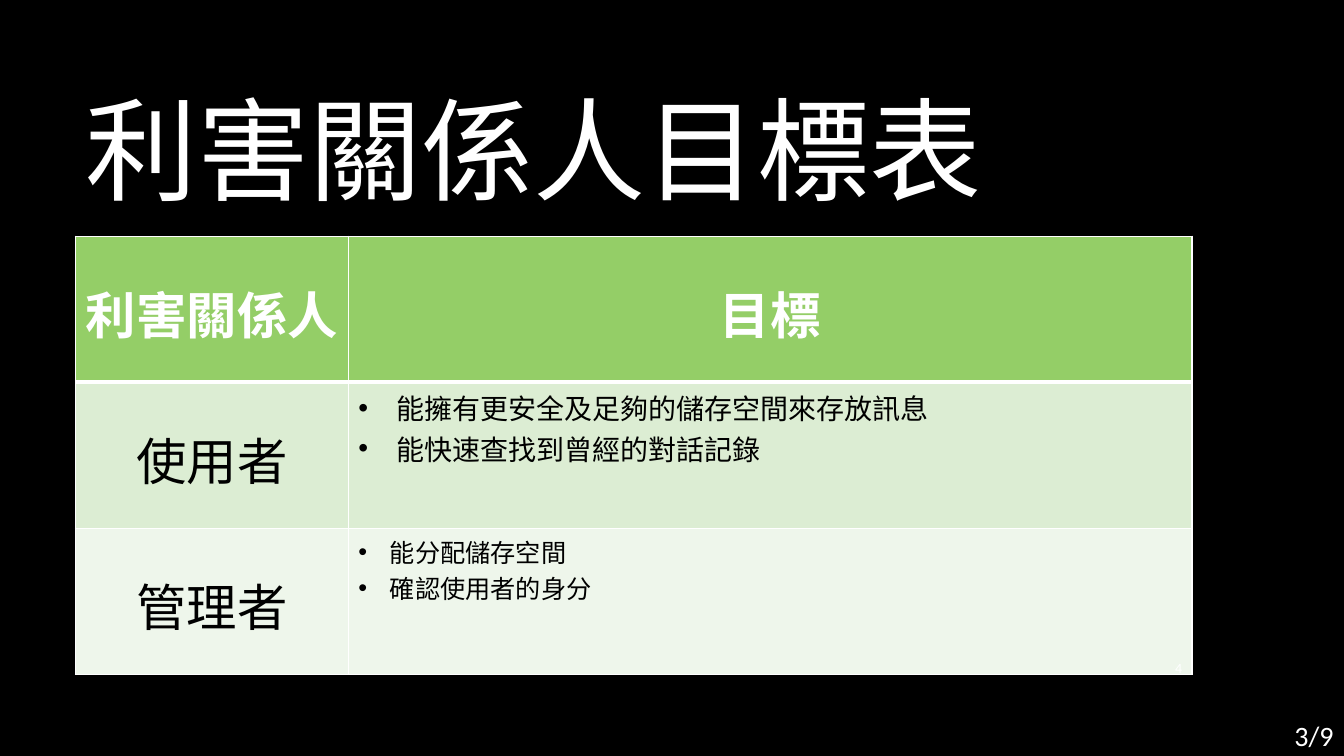
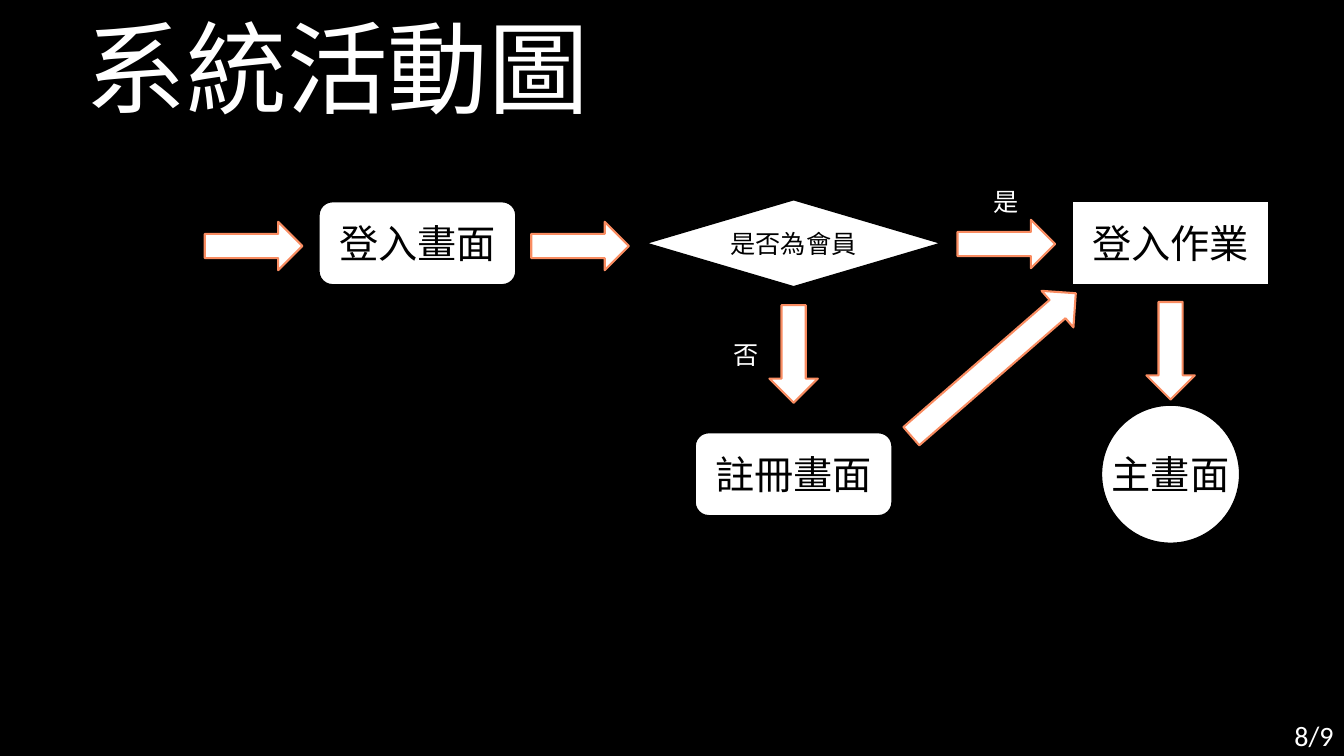
from lxml import etree
from pptx import Presentation
from pptx import util as u
from pptx.dml.color import RGBColor
from pptx.enum import shapes, text
from pptx.oxml import ns

BLACK = RGBColor(0x00, 0x00, 0x00)
WHITE = RGBColor(0xFF, 0xFF, 0xFF)
CORAL = RGBColor(0xF9, 0x8C, 0x61)
GREEN = RGBColor(0x94, 0xCE, 0x67)
PALE_GREEN = RGBColor(0xDC, 0xED, 0xD3)
FAINT_GREEN = RGBColor(0xEE, 0xF6, 0xEB)
FONT = "Calibri"
LEFT, CENTER, RIGHT = text.PP_ALIGN.LEFT, text.PP_ALIGN.CENTER, text.PP_ALIGN.RIGHT
TOP, MIDDLE = text.MSO_ANCHOR.TOP, text.MSO_ANCHOR.MIDDLE
KIND = shapes.MSO_SHAPE


class Deck:
    def __init__(self):
        self.prs = Presentation()
        self.prs.slide_width, self.prs.slide_height = u.Cm(33.87), u.Cm(19.05)
        backdrop = self.prs.slide_master.background.fill
        backdrop.solid()
        backdrop.fore_color.rgb = BLACK
        self.slide = None

    def set_text(self, paragraph, words, size, color, align=LEFT, bold=False):
        paragraph.text = words
        paragraph.alignment = align
        font = paragraph.font
        font.name, font.size, font.bold = FONT, u.Pt(size), bold
        font.color.rgb = color

    def start(self, heading, size, top, height, page):
        self.slide = self.prs.slides.add_slide(self.prs.slide_layouts[5])
        title = self.slide.shapes.title
        title.left, title.top = u.Cm(1.9), u.Cm(top)
        title.width, title.height = u.Cm(28.15), u.Cm(height)
        frame = title.text_frame
        frame.vertical_anchor = MIDDLE
        frame.auto_size = text.MSO_AUTO_SIZE.NONE
        self.set_text(frame.paragraphs[0], heading, size, WHITE)
        self.label(page, 31.8, 18.01, 2.06, 1.04, 20, RIGHT)

    def label(self, words, left, top, width, height, size, align=LEFT, wrap=True):
        box = self.slide.shapes.add_textbox(
            u.Cm(left), u.Cm(top), u.Cm(width), u.Cm(height))
        frame = box.text_frame
        frame.word_wrap = wrap
        frame.vertical_anchor = MIDDLE
        self.set_text(frame.paragraphs[0], words, size, WHITE, align)

    def centered(self, kind, x, y, width, height, outline):
        shape = self.slide.shapes.add_shape(
            kind, u.Cm(x - width / 2), u.Cm(y - height / 2), u.Cm(width), u.Cm(height))
        shape.shadow.inherit = False
        shape.fill.solid()
        shape.fill.fore_color.rgb = WHITE
        shape.line.color.rgb = outline
        shape.line.width = u.Pt(1.5)
        return shape

    def node(self, kind, words, x, y, width=4.98, height=2.11, size=28):
        frame = self.centered(kind, x, y, width, height, BLACK).text_frame
        frame.word_wrap = False
        frame.vertical_anchor = MIDDLE
        self.set_text(frame.paragraphs[0], words, size, BLACK, CENTER)

    def arrow(self, x, y, rotation=0, length=2.46):
        arrow = self.centered(KIND.RIGHT_ARROW, x, y, length, 1.22, CORAL)
        arrow.rotation = rotation

    def table(self, left, top, widths, row_height, row_count):
        frame = self.slide.shapes.add_table(
            row_count, len(widths), u.Cm(left), u.Cm(top),
            u.Cm(sum(widths)), u.Cm(row_height * row_count))
        table = frame.table
        for column, width in zip(table.columns, widths):
            column.width = u.Cm(width)
        for row in table.rows:
            row.height = u.Cm(row_height)
        return table

    def cell(self, cell, fill, top_line=1, bottom_line=1):
        cell.fill.solid()
        cell.fill.fore_color.rgb = fill
        cell.vertical_anchor = TOP
        properties = cell._tc.get_or_add_tcPr()
        widths = {"lnL": 1, "lnR": 1, "lnT": top_line, "lnB": bottom_line}
        for place, (edge, width) in enumerate(widths.items()):
            line = etree.Element(ns.qn(f"a:{edge}"), w=str(u.Pt(width)))
            solid = etree.SubElement(line, ns.qn("a:solidFill"))
            etree.SubElement(solid, ns.qn("a:srgbClr"), val=str(WHITE))
            properties.insert(place, line)

    def heading_cell(self, cell, words, color, bold):
        cell.margin_top = u.Cm(1)
        self.set_text(cell.text_frame.paragraphs[0], words, 36, color, CENTER, bold)

    def bullet_cell(self, cell, items, size, indent):
        frame = cell.text_frame
        for number, item in enumerate(items):
            paragraph = frame.add_paragraph() if number else frame.paragraphs[0]
            properties = paragraph._p.get_or_add_pPr()
            properties.set("marL", str(u.Cm(indent)))
            properties.set("indent", str(-u.Cm(indent)))
            etree.SubElement(properties, ns.qn("a:buFont"), typeface="Arial")
            etree.SubElement(properties, ns.qn("a:buChar"), char="•")
            self.set_text(paragraph, item, size, BLACK)


deck = Deck()

deck.start("利害關係人目標表", 80, 1.7, 4.04, "3/9")
goals = [
    ("使用者", ["能擁有更安全及足夠的儲存空間來存放訊息", "能快速查找到曾經的對話記錄"],
     20, 0.95, PALE_GREEN),
    ("管理者", ["能分配儲存空間", "確認使用者的身分"], 18, 0.79, FAINT_GREEN),
]
goal_table = deck.table(1.9, 5.95, [6.88, 21.26], 3.68, len(goals) + 1)
for column, heading in enumerate(["利害關係人", "目標"]):
    header = goal_table.cell(0, column)
    deck.cell(header, GREEN, bottom_line=3)
    deck.heading_cell(header, heading, WHITE, True)
for row, (stakeholder, items, size, indent, fill) in enumerate(goals, 1):
    for column in range(2):
        deck.cell(goal_table.cell(row, column), fill, top_line=3 if row == 1 else 1)
    deck.heading_cell(goal_table.cell(row, 0), stakeholder, BLACK, False)
    deck.bullet_cell(goal_table.cell(row, 1), items, size, indent)
deck.label("4", 28.52, 16.31, 1.52, 1.04, 10, RIGHT)

deck.start("系統活動圖", 72, 0, 3.35, "8/9")
FIRST_ROW, SECOND_ROW = 6.13, 11.95
LOGIN, MEMBER, SIGN_IN = 10.52, 20, 29.5
deck.node(KIND.ROUNDED_RECTANGLE, "登入畫面", LOGIN, FIRST_ROW)
deck.node(KIND.DIAMOND, "是否為會員", MEMBER, FIRST_ROW, 7.49, 2.21, 18)
deck.node(KIND.RECTANGLE, "登入作業", SIGN_IN, FIRST_ROW)
deck.node(KIND.ROUNDED_RECTANGLE, "註冊畫面", MEMBER, SECOND_ROW)
deck.node(KIND.OVAL, "主畫面", SIGN_IN, SECOND_ROW, 3.5, 3.5)
for x, y in [(6.39, 6.2), (14.62, 6.2), (25.36, 6.15)]:
    deck.arrow(x, y)
for x, y in [(MEMBER, 8.92), (SIGN_IN, 8.84)]:
    deck.arrow(x, y, 90)
deck.arrow(25.04, 9.19, 319, 5.49)
for answer, left, top in [("否", 18.24, 8.41), ("是", 24.79, 4.57)]:
    deck.label(answer, left, top, 1.14, 1.02, 18, wrap=False)

deck.prs.save("out.pptx")
